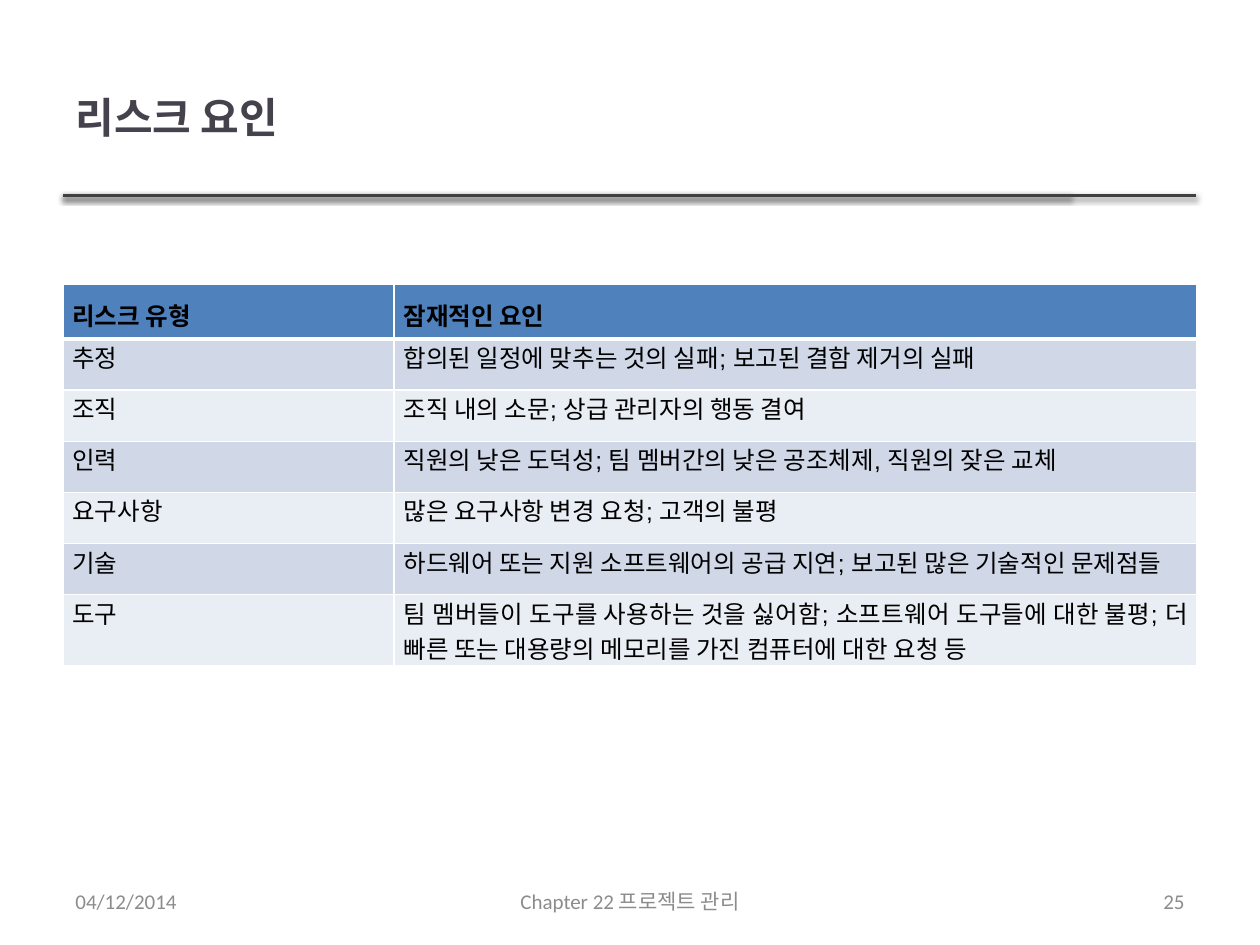
from lxml import etree
from pptx import Presentation
from pptx.dml.color import RGBColor
from pptx.enum.shapes import MSO_CONNECTOR as CONN
from pptx.enum.text import MSO_ANCHOR as ANCHOR, PP_ALIGN as ALIGN
from pptx.oxml import parse_xml
from pptx.oxml.ns import nsdecls
from pptx.util import Pt

TITLE = RGBColor(0x46, 0x42, 0x4D)
RULE = RGBColor(0x40, 0x40, 0x40)
BLACK = RGBColor(0, 0, 0)
GRAY = RGBColor(0x8C, 0x8C, 0x8C)
HEADER = RGBColor(0x4F, 0x81, 0xBD)
BANDS = [RGBColor(0xE9, 0xED, 0xF4), RGBColor(0xD0, 0xD8, 0xE8)]


def add_run(p, text, font, size, color, align, bold=False):
    p.alignment = align
    r = p.add_run()
    r.text = text
    r.font.name, r.font.size, r.font.bold = font, Pt(size), bold
    r.font.color.rgb = color


def add_text(left, top, width, height, *run):
    tf = s.shapes.add_textbox(Pt(left), Pt(top), Pt(width), Pt(height)).text_frame
    tf.word_wrap = True
    tf.vertical_anchor = ANCHOR.MIDDLE
    add_run(tf.paragraphs[0], *run)


prs = Presentation()
prs.slide_width, prs.slide_height = Pt(720), Pt(540)
s = prs.slides.add_slide(prs.slide_layouts[6])

# Title rule: two overlapping shadowed lines
for right in (611.5, 683.5):
    line = s.shapes.add_connector(CONN.STRAIGHT, Pt(36), Pt(111.6), Pt(right), Pt(111.6))
    line.line.color.rgb = RULE
    line.line.width = Pt(2)
    line._element.spPr.append(parse_xml(
        f'<a:effectLst {nsdecls("a")}>'
        f'<a:outerShdw blurRad="{Pt(3.1)}" dist="{Pt(1.6)}" dir="5400000" rotWithShape="0">'
        '<a:srgbClr val="000000"><a:alpha val="38000"/></a:srgbClr>'
        '</a:outerShdw></a:effectLst>'))

# Title
add_text(36, 21.6, 574.6, 90, "리스크 요인", "Arial", 24, TITLE, ALIGN.LEFT, True)

# Risk table
rows = [
    ("리스크 유형", "잠재적인 요인"),
    ("추정", "합의된 일정에 맞추는 것의 실패; 보고된 결함 제거의 실패"),
    ("조직", "조직 내의 소문; 상급 관리자의 행동 결여"),
    ("인력", "직원의 낮은 도덕성; 팀 멤버간의 낮은 공조체제, 직원의 잦은 교체"),
    ("요구사항", "많은 요구사항 변경 요청; 고객의 불평"),
    ("기술", "하드웨어 또는 지원 소프트웨어의 공급 지연; 보고된 많은 기술적인 문제점들"),
    ("도구", "팀 멤버들이 도구를 사용하는 것을 싫어함; 소프트웨어 도구들에 대한 불평; "
             "더 빠른 또는 대용량의 메모리를 가진 컴퓨터에 대한 요청 등"),
]
ROW_H = 29.2
table = s.shapes.add_table(len(rows), 2, Pt(36), Pt(162.5), Pt(648), Pt(ROW_H * len(rows))).table
for col, width in zip(table.columns, (189.2, 458.8)):
    col.width = Pt(width)
for i, texts in enumerate(rows):
    table.rows[i].height = Pt(ROW_H)
    head = i == 0
    for j, text in enumerate(texts):
        cell = table.cell(i, j)
        cell.margin_left = cell.margin_right = Pt(5.4)
        cell.margin_top, cell.margin_bottom = Pt(7.2 if head else 0), Pt(7.2)
        add_run(cell.text_frame.paragraphs[0], text, "Arial", 14, BLACK, ALIGN.JUSTIFY, head)
        # White borders, thicker between header and body
        tcPr = cell._tc.get_or_add_tcPr()
        for side in "LRTB":
            thick = (i, side) in ((0, "B"), (1, "T"))
            tcPr.append(parse_xml(
                f'<a:ln{side} {nsdecls("a")} w="{Pt(3 if thick else 1)}"><a:solidFill>'
                f'<a:srgbClr val="FFFFFF"/></a:solidFill></a:ln{side}>'))
        cell.fill.solid()
        cell.fill.fore_color.rgb = HEADER if head else BANDS[i % 2]

# Footer: date, chapter, page number
for left, width, text, align in (
    (36, 168, "04/12/2014", ALIGN.LEFT),
    (246, 228, "Chapter 22 프로젝트 관리", ALIGN.CENTER),
    (516, 168, "25", ALIGN.RIGHT),
):
    add_text(left, 500.5, width, 28.75, text, "Calibri", 12, GRAY, align)

prs.save("out.pptx")
